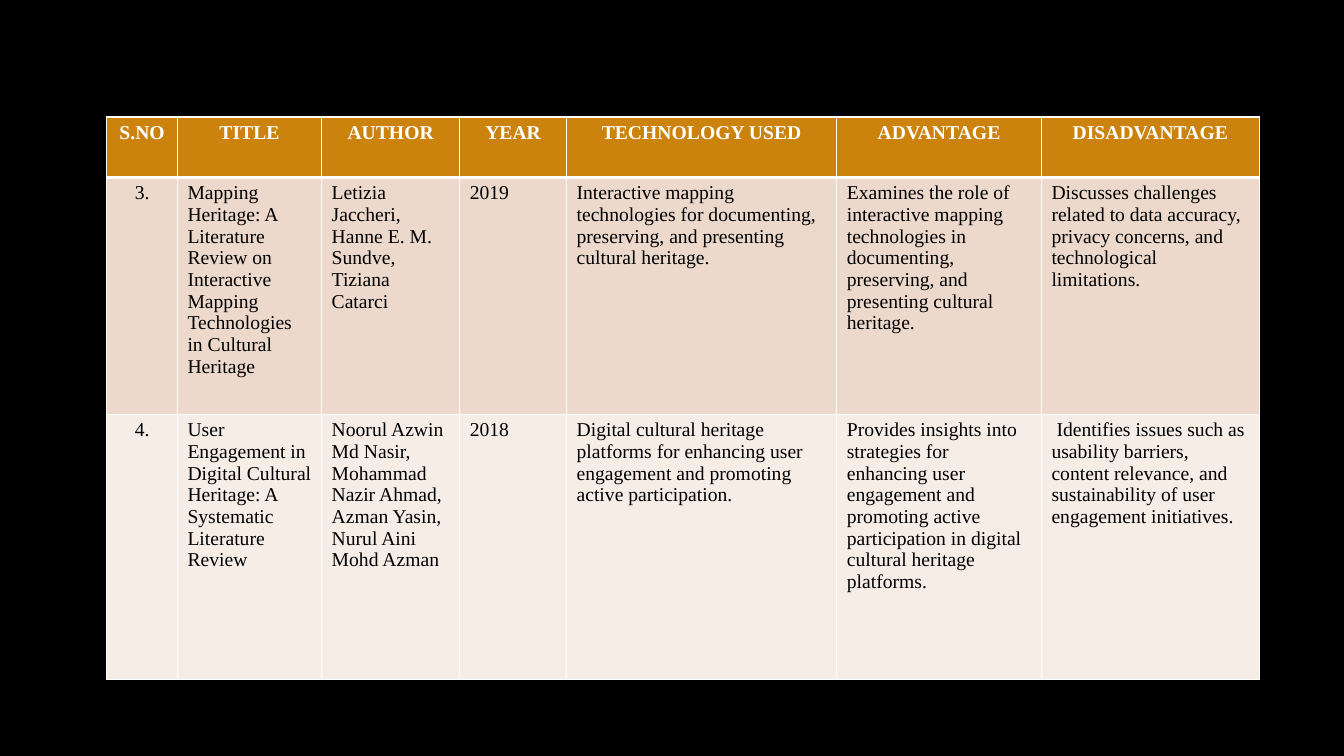
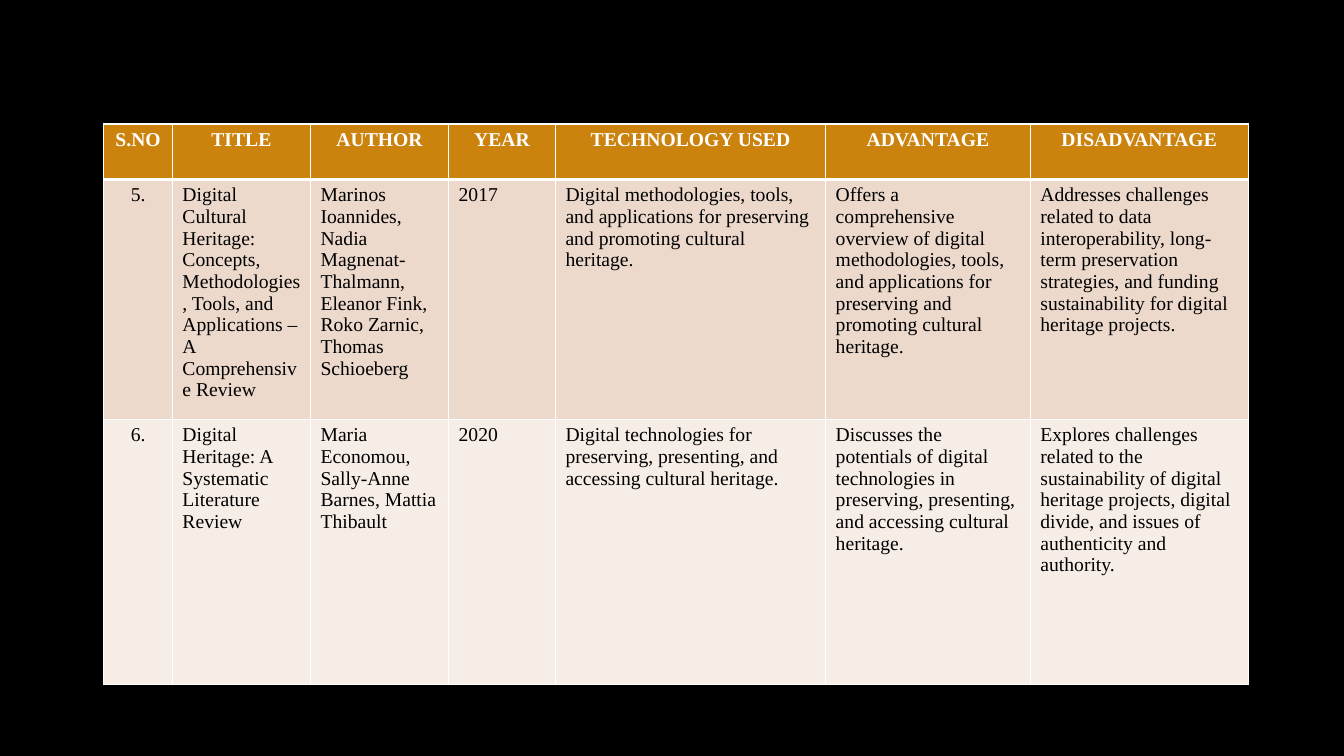
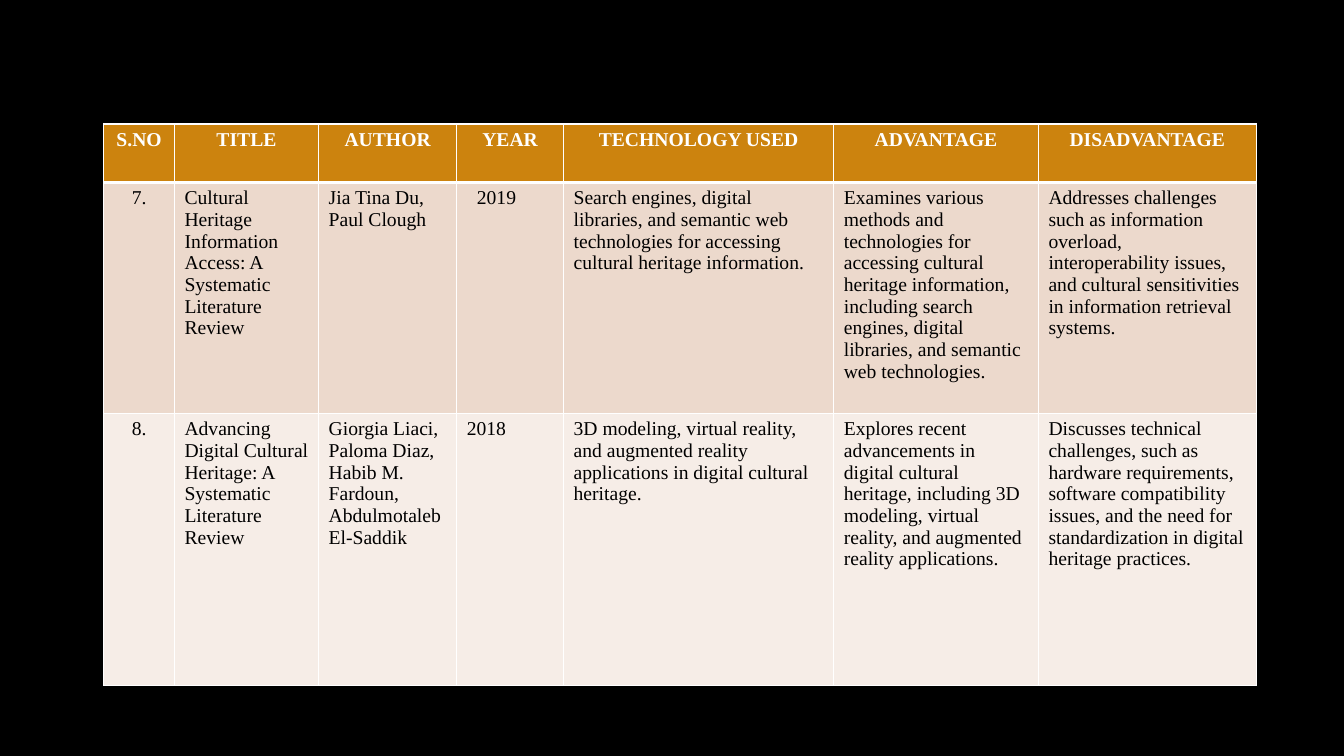
from dataclasses import dataclass, field

from lxml.etree import SubElement
from pptx import Presentation
from pptx.dml.color import RGBColor
from pptx.enum.text import PP_ALIGN
from pptx.oxml.ns import qn
from pptx.util import Emu, Pt

EMU_PER_PX = 9144  # 100 px to the inch
EMU_PER_POINT = 12700

BLACK, WHITE = "000000", "FFFFFF"
HEADER_FILL = "CC830E"
BODY_FILLS = ("ECD9CC", "F6EDE7")
FONT_NAME = "Times New Roman"
FONT_SIZE = 14
THIN, THICK = 1, 3

HEADINGS = ("S.NO", "TITLE", "AUTHOR", "YEAR", "TECHNOLOGY USED", "ADVANTAGE", "DISADVANTAGE")
SHARED_WIDTHS = (137, 106, 268, 203, 216)
WIDE = (70, 143, *SHARED_WIDTHS)
NARROW = (68, 137, *SHARED_WIDTHS)


@dataclass(frozen=True)
class Paper:
    number: str
    title: str
    author: str
    year: str
    technology: str
    advantage: str
    disadvantage: str
    indents: dict[int, int] = field(default_factory=dict)  # column: first-line indent in px

    def texts(self) -> tuple[str, ...]:
        return (self.number, self.title, self.author, self.year,
                self.technology, self.advantage, self.disadvantage)


@dataclass(frozen=True)
class SurveyPage:
    left: int
    top: int
    widths: tuple[int, ...]
    heights: tuple[int, ...]
    papers: tuple[Paper, ...]


PAGES = (
    SurveyPage(106, 116, WIDE, (60, 235, 263), (
        Paper("3.",
              "Mapping Heritage: A Literature Review on Interactive Mapping Technologies "
              "in Cultural Heritage",
              "Letizia Jaccheri, Hanne E. M. Sundve, Tiziana Catarci",
              "2019",
              "Interactive mapping technologies for documenting, preserving, and presenting "
              "cultural heritage.",
              "Examines the role of interactive mapping technologies in documenting, "
              "preserving, and presenting cultural heritage.",
              "Discusses challenges related to data accuracy, privacy concerns, and "
              "technological limitations."),
        Paper("4.",
              "User Engagement in Digital Cultural Heritage: A Systematic Literature Review",
              "Noorul Azwin Md Nasir, Mohammad Nazir Ahmad, Azman Yasin, Nurul Aini Mohd Azman",
              "2018",
              "Digital cultural heritage platforms for enhancing user engagement and "
              "promoting active participation.",
              "Provides insights into strategies for enhancing user engagement and promoting "
              "active participation in digital cultural heritage platforms.",
              "Identifies issues such as usability barriers, content relevance, and "
              "sustainability of user engagement initiatives.",
              indents={6: 5}),
    )),
    SurveyPage(103, 123, NARROW, (55, 238, 263), (
        Paper("5.",
              "Digital Cultural Heritage: Concepts, Methodologies, Tools, and Applications – "
              "A Comprehensive Review",
              "Marinos Ioannides, Nadia Magnenat-Thalmann, Eleanor Fink, Roko Zarnic, "
              "Thomas Schioeberg",
              "2017",
              "Digital methodologies, tools, and applications for preserving and promoting "
              "cultural heritage.",
              "Offers a comprehensive overview of digital methodologies, tools, and "
              "applications for preserving and promoting cultural heritage.",
              "Addresses challenges related to data interoperability, long-term preservation "
              "strategies, and funding sustainability for digital heritage projects."),
        Paper("6.",
              "Digital Heritage: A Systematic Literature Review",
              "Maria Economou, Sally-Anne Barnes, Mattia Thibault",
              "2020",
              "Digital technologies for preserving, presenting, and accessing cultural heritage.",
              "Discusses the potentials of digital technologies in preserving, presenting, "
              "and accessing cultural heritage.",
              "Explores challenges related to the sustainability of digital heritage "
              "projects, digital divide, and issues of authenticity and authority."),
    )),
    SurveyPage(103, 123, WIDE, (58, 229, 270), (
        Paper("7.",
              "Cultural Heritage Information Access: A Systematic Literature Review",
              "Jia Tina Du, Paul Clough",
              "2019",
              "Search engines, digital libraries, and semantic web technologies for "
              "accessing cultural heritage information.",
              "Examines various methods and technologies for accessing cultural heritage "
              "information, including search engines, digital libraries, and semantic web "
              "technologies.",
              "Addresses challenges such as information overload, interoperability issues, "
              "and cultural sensitivities in information retrieval systems.",
              indents={3: 10}),
        Paper("8.",
              "Advancing Digital Cultural Heritage: A Systematic Literature Review",
              "Giorgia Liaci, Paloma Diaz, Habib M. Fardoun, Abdulmotaleb El-Saddik",
              "2018",
              "3D modeling, virtual reality, and augmented reality applications in digital "
              "cultural heritage.",
              "Explores recent advancements in digital cultural heritage, including 3D "
              "modeling, virtual reality, and augmented reality applications.",
              "Discusses technical challenges, such as hardware requirements, software "
              "compatibility issues, and the need for standardization in digital heritage "
              "practices."),
    )),
)


def px(length: int) -> Emu:
    return Emu(length * EMU_PER_PX)


def color(value: str) -> RGBColor:
    return RGBColor.from_string(value)


def set_borders(cell, top: int, bottom: int) -> None:
    """Add white cell borders; call before the fill, which must follow them."""
    properties = cell._tc.get_or_add_tcPr()
    for side, points in {"L": THIN, "R": THIN, "T": top, "B": bottom}.items():
        line = SubElement(properties, qn(f"a:ln{side}"), w=str(points * EMU_PER_POINT))
        fill = SubElement(line, qn("a:solidFill"))
        SubElement(fill, qn("a:srgbClr"), val=WHITE)


def write_cell(cell, text: str, fill: str, text_color: str, bold: bool,
               centered: bool, indent: int = 0) -> None:
    cell.fill.solid()
    cell.fill.fore_color.rgb = color(fill)
    para = cell.text_frame.paragraphs[0]
    para.alignment = PP_ALIGN.CENTER if centered else PP_ALIGN.LEFT
    if indent:
        para._p.get_or_add_pPr().set("indent", str(px(indent)))
    span = para.add_run()
    span.text = text
    for name, value in {"name": FONT_NAME, "size": Pt(FONT_SIZE), "bold": bold}.items():
        setattr(span.font, name, value)
    span.font.color.rgb = color(text_color)


def add_survey(deck, survey: SurveyPage) -> None:
    page = deck.slides.add_slide(deck.slide_layouts.get_by_name("Blank"))
    table = page.shapes.add_table(
        len(survey.heights), len(survey.widths), px(survey.left), px(survey.top),
        px(sum(survey.widths)), px(sum(survey.heights))).table
    table.horz_banding = False
    for column, width in zip(table.columns, survey.widths):
        column.width = px(width)
    for row, height in zip(table.rows, survey.heights):
        row.height = px(height)

    for column, heading in enumerate(HEADINGS):
        cell = table.cell(0, column)
        set_borders(cell, THIN, THICK)
        write_cell(cell, heading, HEADER_FILL, WHITE, bold=True, centered=True)
    for row, (paper, fill) in enumerate(zip(survey.papers, BODY_FILLS), start=1):
        for column, text in enumerate(paper.texts()):
            cell = table.cell(row, column)
            set_borders(cell, THICK if row == 1 else THIN, THIN)
            write_cell(cell, text, fill, BLACK, bold=False, centered=column == 0,
                       indent=paper.indents.get(column, 0))


def main() -> None:
    deck = Presentation()
    deck.slide_width, deck.slide_height = px(1333), px(750)
    background = deck.slide_master.background.fill
    background.solid()
    background.fore_color.rgb = color(BLACK)
    for survey in PAGES:
        add_survey(deck, survey)
    deck.save("out.pptx")


if __name__ == "__main__":
    main()
